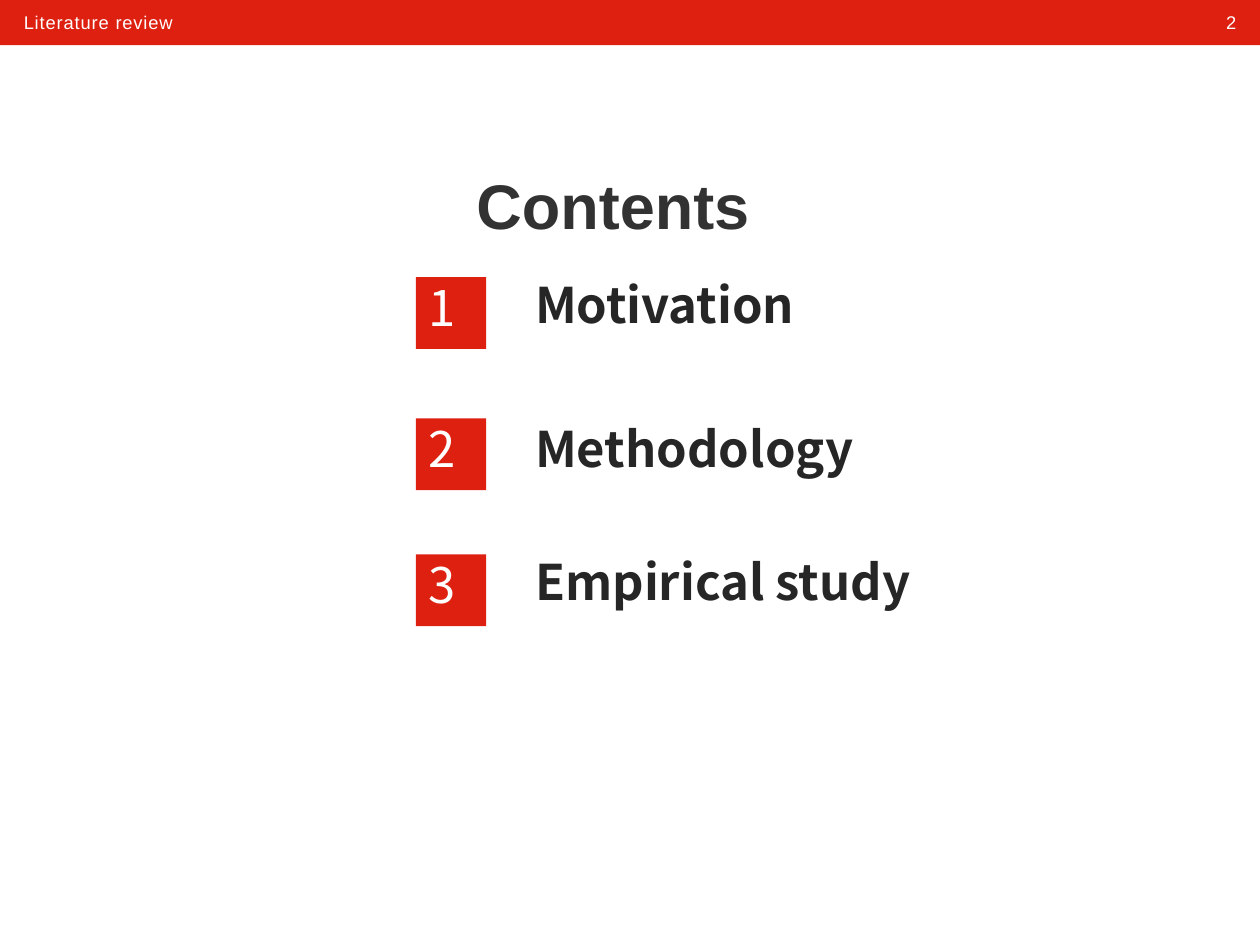
from pptx import Presentation
from pptx import util as u
from pptx.dml import color
from pptx.enum import shapes, text

RED, WHITE, DARK, TITLE_GREY = "DE2010", "FFFFFF", "262626", "323232"
HEADER = {"name": "Arial", "size": u.Pt(10.5), "bold": False}
TITLE = {"name": "Arial", "size": u.Pt(36), "bold": True}
NUMBER = {"name": "Noto Sans CJK SC", "size": u.Pt(28), "bold": False}
TOPIC = {**NUMBER, "bold": True}


def rgb(value):
    return color.RGBColor.from_string(value)


class ContentsSlide:
    """Holds the slide and draws each kind of element in the deck style."""

    def __init__(self, presentation):
        self.slide = presentation.slides.add_slide(presentation.slide_layouts[5])

    def set_text(self, shape, words, style, font_color, align="LEFT", anchor="TOP",
                 inset=0.05, spacing=None):
        frame = shape.text_frame
        settings = {"word_wrap": True, "auto_size": text.MSO_AUTO_SIZE.NONE,
                    "vertical_anchor": text.MSO_ANCHOR[anchor],
                    "margin_top": u.Inches(inset), "margin_bottom": u.Inches(inset)}
        for name, value in settings.items():
            setattr(frame, name, value)
        paragraph = frame.paragraphs[0]
        paragraph.alignment = text.PP_ALIGN[align]
        run = paragraph.add_run()
        run.text = words
        for name, value in style.items():
            setattr(run.font, name, value)
        run.font.color.rgb = rgb(font_color)
        if spacing:
            run._r.get_or_add_rPr().set("spc", str(spacing))

    def title(self, words, *box):
        shape = self.slide.shapes.title
        for name, value in zip(("left", "top", "width", "height"), box):
            setattr(shape, name, u.Inches(value))
        self.set_text(shape, words, TITLE, TITLE_GREY, "CENTER", "MIDDLE")

    def rectangle(self, *box):
        shape = self.slide.shapes.add_shape(shapes.MSO_SHAPE.RECTANGLE, *map(u.Inches, box))
        shape.shadow.inherit = False
        shape.fill.solid()
        shape.fill.fore_color.rgb = rgb(RED)
        shape.line.fill.background()
        return shape

    def label(self, words, box, style, font_color, **layout):
        shape = self.slide.shapes.add_textbox(*map(u.Inches, box))
        self.set_text(shape, words, style, font_color, **layout)

    def entry(self, number, topic, square_top, topic_top):
        self.label(topic, (4.15, topic_top, 3.76, 0.57), TOPIC, DARK, inset=0)
        square = self.rectangle(3.3, square_top, 0.56, 0.57)
        self.set_text(square, str(number), NUMBER, WHITE, inset=0)


def main():
    presentation = Presentation()
    presentation.slide_width, presentation.slide_height = u.Inches(10), u.Inches(7.5)
    contents = ContentsSlide(presentation)

    # Header band with section name and page number
    contents.rectangle(0, 0, 10, 0.36)
    contents.label("2", (9.19, 0.04, 0.72, 0.28), HEADER, WHITE, align="RIGHT", spacing=50)
    contents.label("Literature review", (0.09, 0.04, 6.25, 0.28), HEADER, WHITE, spacing=50)

    # Title
    contents.title("Contents", 0.3, 1.3, 9.13, 0.64)

    # Numbered topics: name, top of square, top of name
    topics = [("Motivation", 2.2, 2.18), ("Methodology", 3.32, 3.32),
              ("Empirical study", 4.4, 4.38)]
    for number, topic in enumerate(topics, 1):
        contents.entry(number, *topic)

    presentation.save("out.pptx")


if __name__ == "__main__":
    main()
